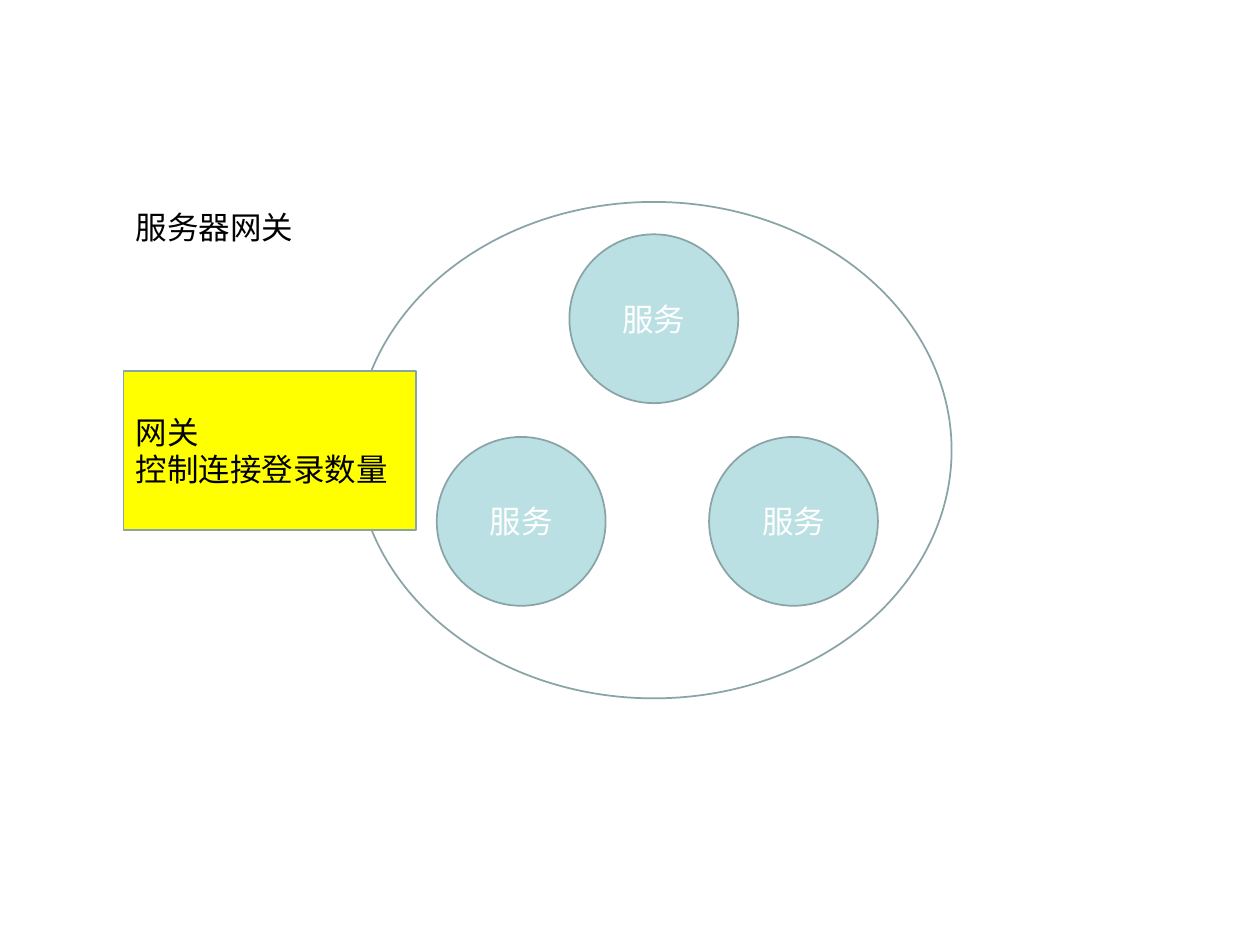
import pptx
import pptx.dml.color
import pptx.enum.shapes
import pptx.enum.text
import pptx.util

Pt = pptx.util.Pt
SHAPE = pptx.enum.shapes.MSO_SHAPE
ALIGN = pptx.enum.text.PP_ALIGN
ANCHOR = pptx.enum.text.MSO_ANCHOR


def color(hex_code):
    return pptx.dml.color.RGBColor.from_string(hex_code)


def write(shape, lines, text_color, align, anchor, wrap=True):
    frame = shape.text_frame
    frame.word_wrap = wrap
    frame.vertical_anchor = anchor
    frame.text = "\n".join(lines)
    for para in frame.paragraphs:
        para.alignment = align
        para.font.name = "Arial"
        para.font.size = Pt(18)
        para.font.color.rgb = color(text_color)


deck = pptx.Presentation()
deck.slide_width, deck.slide_height = Pt(720), Pt(540)
page = deck.slides.add_slide(deck.slide_layouts[6])

# Three services, the server boundary around them, and the gateway on its edge
diameter = 96.5
service = (SHAPE.OVAL, diameter, diameter, "BBE0E3", ["服务"], "FFFFFF", ALIGN.CENTER)
boundary = (SHAPE.OVAL, 340.5, 283.7, None, [], None, None)
gateway = (SHAPE.RECTANGLE, 167, 90.7, "FFFF00",
           ["网关", "控制连接登录数量"], "000000", ALIGN.LEFT)
placed = [
    (325.4, 133.9, service),
    (405.2, 249.7, service),
    (249.6, 249.7, service),
    (203.3, 115.4, boundary),
    (70.6, 212, gateway),
]
for left, top, (kind, width, height, fill, lines, text_color, align) in placed:
    shape = page.shapes.add_shape(kind, Pt(left), Pt(top), Pt(width), Pt(height))
    shape.shadow.inherit = False
    shape.line.color.rgb = color("89A4A7")
    shape.line.width = Pt(1)
    if fill:
        shape.fill.solid()
        shape.fill.fore_color.rgb = color(fill)
    else:
        shape.fill.background()
    if lines:
        write(shape, lines, text_color, align, ANCHOR.MIDDLE)

heading = page.shapes.add_textbox(Pt(70.6), Pt(115.4), Pt(104.4), Pt(28.8))
write(heading, ["服务器网关"], "000000", ALIGN.LEFT, ANCHOR.TOP, wrap=False)
heading.text_frame.auto_size = pptx.enum.text.MSO_AUTO_SIZE.SHAPE_TO_FIT_TEXT

deck.save("out.pptx")
